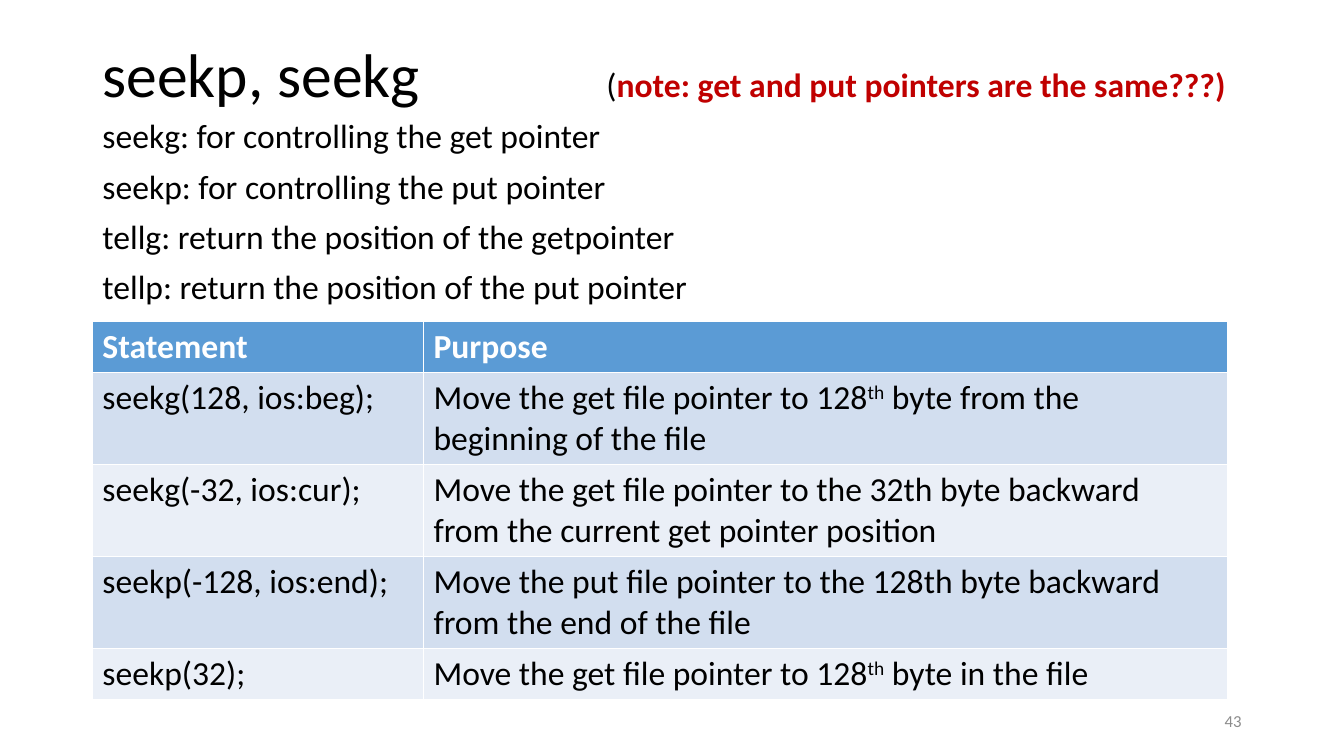
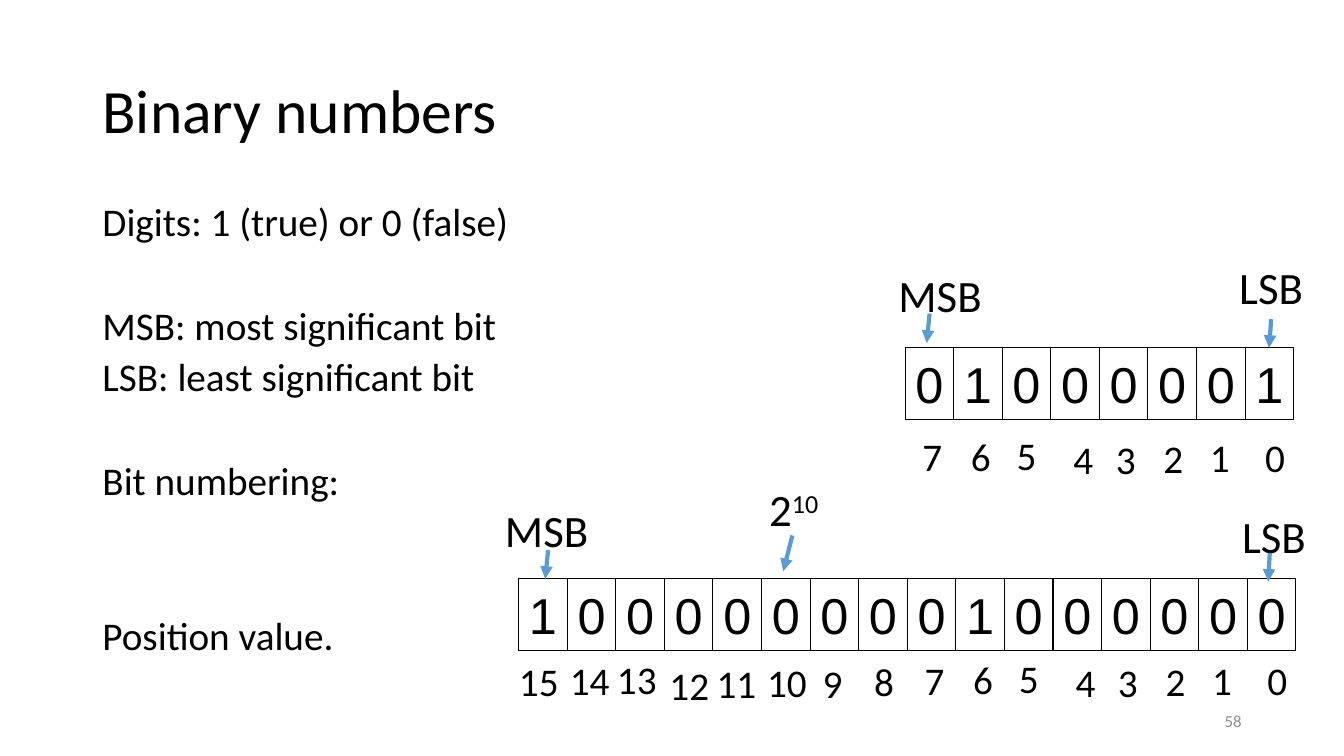
from dataclasses import dataclass
from lxml import etree
from pptx import Presentation
from pptx.dml.color import RGBColor as RGB
from pptx.enum.shapes import MSO_CONNECTOR as CONN, MSO_SHAPE as SHAPE
from pptx.enum.text import MSO_ANCHOR as ANCHOR, MSO_AUTO_SIZE as FIT, PP_ALIGN as ALIGN
from pptx.oxml.ns import qn
from pptx.util import Pt


@dataclass(frozen=True)
class Theme:
    font: str = "Calibri"
    bit_font: str = "Arial"
    ink: str = "000000"
    white: str = "FFFFFF"
    red: str = "C00000"
    grey: str = "8C8C8C"
    blue: str = "5B9BD5"
    bands: tuple = ("D2DEEF", "EAEFF7")
    title: int = 44
    bit: int = 36
    callout: int = 32
    body: int = 28
    table: int = 24
    footer: int = 12


T = Theme()
LEFT, WIDTH = 66, 828

# Content: text between carets is superscript
SEEK_TITLE = "seekp, seekg"
SEEK_NOTE = "note: get and put pointers are the same???)"
SEEK_LINES = [
    "seekg: for controlling the get pointer",
    "seekp: for controlling the put pointer",
    "tellg: return the position of the getpointer",
    "tellp: return the position of the put pointer",
]
# Statement, purpose, lines of text in the row
SEEK_TABLE = [
    ("Statement", "Purpose", 1),
    ("seekg(128, ios:beg);", "Move the get file pointer to 128^th^ byte from the beginning of the file", 2),
    ("seekg(-32, ios:cur);", "Move the get file pointer to the 32th byte backward from the current get pointer position", 2),
    ("seekp(-128, ios:end);", "Move the put file pointer to the 128th byte backward from the end of the file", 2),
    ("seekp(32);", "Move the get file pointer to 128^th^ byte in the file", 1),
]
COLUMNS = (236.5, 574.5)

# Lines with the space before each
BINARY_LINES = [
    ("Digits: 1 (true) or 0 (false)", 0),
    ("MSB: most significant bit", 47),
    ("LSB: least significant bit", 10),
    ("Bit numbering:", 47),
    ("Position value.", 84),
]
# Bits, left, top, top of the bit numbers
BIT_ROWS = [
    ("01000001", 646.5, 248.5, 306),
    ("1000000001000000", 370.5, 413.5, 465.5),
]
# Shift of each bit number from the centre of its cell, from bit 0 up
NUDGES = [
    (4, 0), (-0.7, 0), (0.7, 0.7), (1.4, 1.4), (5.8, 1.4), (0, -1.4), (2, -0.7), (2, -0.5),
    (0.7, 0.7), (-1.4, 2), (0.7, 1.4), (-0.7, 2), (0.4, 3), (-2.4, -0.7), (-1.4, 0), (-3, 0.7),
]
# Text, centre, top, arrow start, arrow end
CALLOUTS = [
    ("LSB", 908, 182, (908, 228), (906.5, 248.5)),
    ("MSB", 671.5, 188, (664, 224), (662, 245)),
    ("LSB", 910, 360, (907, 395), (906, 415.5)),
    ("MSB", 390.5, 355.5, (391.5, 393), (389.5, 413.5)),
    ("2^10^", 567, 340.5, (566, 382.5), (559.5, 408)),
]
CALLOUT_W, CALLOUT_H = 88, 46
CELL_W, CELL_H = 34.7, 51


def add_run(p, text, size, color=T.ink, bold=False, font=T.font):
    r = p.add_run()
    r.text = text
    r.font.name, r.font.size, r.font.bold = font, Pt(size), bold
    r.font.color.rgb = RGB.from_string(color)
    return r


def write(p, text, size, **style):
    for i, part in enumerate(text.split("^")):
        if part:
            r = add_run(p, part, size, **style)
            if i % 2:
                r._r.get_or_add_rPr().set("baseline", "30000")


def place(sp, x, y, w, h):
    sp.left, sp.top, sp.width, sp.height = Pt(x), Pt(y), Pt(w), Pt(h)


def add_label(slide, text, x, y, w, h, size, align=ALIGN.CENTER, anchor=ANCHOR.TOP, **style):
    tf = slide.shapes.add_textbox(Pt(x), Pt(y), Pt(w), Pt(h)).text_frame
    tf.word_wrap, tf.vertical_anchor = False, anchor
    p = tf.paragraphs[0]
    p.alignment = align
    write(p, text, size, **style)


def new_slide(prs, title, title_top, body_top, number):
    slide = prs.slides.add_slide(prs.slide_layouts[1])
    head, body = slide.shapes.title, slide.placeholders[1]
    place(head, LEFT, title_top, WIDTH, 104.5)
    place(body, LEFT, body_top, WIDTH, 343)
    for sp, anchor in ((head, ANCHOR.MIDDLE), (body, ANCHOR.TOP)):
        tf = sp.text_frame
        tf.auto_size, tf.word_wrap, tf.vertical_anchor = FIT.NONE, True, anchor
    p = head.text_frame.paragraphs[0]
    p.alignment, p.line_spacing = ALIGN.LEFT, 0.9
    write(p, title, T.title)
    add_label(slide, number, 678, 500.5, 216, 28.75, T.footer, ALIGN.RIGHT,
              ANCHOR.MIDDLE, color=T.grey)
    return slide


def fill_body(slide, lines, size, spacing):
    tf = slide.placeholders[1].text_frame
    for i, (text, before) in enumerate(lines):
        p = tf.add_paragraph() if i else tf.paragraphs[0]
        pPr = p._p.get_or_add_pPr()
        pPr.set("marL", "0")
        pPr.set("indent", "0")
        etree.SubElement(pPr, qn("a:buNone"))
        p.line_spacing, p.space_before = spacing, Pt(before)
        write(p, text, size)


def add_arrow(slide, start, end):
    line = slide.shapes.add_connector(CONN.STRAIGHT, *(Pt(v) for v in start + end))
    line.line.color.rgb = RGB.from_string(T.blue)
    line.line.width = Pt(3)
    etree.SubElement(line.line._get_or_add_ln(), qn("a:tailEnd"), type="triangle")
    etree.SubElement(line._element.spPr, qn("a:effectLst"))


def seek_slide(prs):
    slide = new_slide(prs, SEEK_TITLE, 3, 82, "43")
    # Note beside the title, at a tab stop
    p = slide.shapes.title.text_frame.paragraphs[0]
    tabs = etree.SubElement(p._p.get_or_add_pPr(), qn("a:tabLst"))
    etree.SubElement(tabs, qn("a:tab"), pos=str(Pt(360)), algn="l")
    add_run(p, "\t(", T.table)
    add_run(p, SEEK_NOTE, T.table, T.red, True)
    fill_body(slide, [(text, 10 if i else 0) for i, text in enumerate(SEEK_LINES)], T.table, 0.9)

    # Table of statements
    heights = [29.3 * lines + 7.2 for *_, lines in SEEK_TABLE]
    table = slide.shapes.add_table(len(SEEK_TABLE), len(COLUMNS), Pt(LEFT), Pt(229.5),
                                   Pt(sum(COLUMNS)), Pt(sum(heights))).table
    for column, width in zip(table.columns, COLUMNS):
        column.width = Pt(width)
    for i, (*texts, _) in enumerate(SEEK_TABLE):
        table.rows[i].height = Pt(heights[i])
        fill = T.bands[(i - 1) % 2] if i else T.blue
        for j, text in enumerate(texts):
            cell = table.cell(i, j)
            cell.margin_right = Pt(16)
            cell.fill.solid()
            cell.fill.fore_color.rgb = RGB.from_string(fill)
            write(cell.text_frame.paragraphs[0], text, T.table,
                  color=T.ink if i else T.white, bold=i == 0)


def add_bit(slide, bit, x, y):
    sp = slide.shapes.add_shape(SHAPE.RECTANGLE, Pt(x), Pt(y), Pt(CELL_W), Pt(CELL_H))
    sp.shadow.inherit = False
    sp.fill.background()
    sp.line.color.rgb = RGB.from_string(T.ink)
    sp.line.width = Pt(0.75)
    tf = sp.text_frame
    tf.word_wrap, tf.vertical_anchor = False, ANCHOR.MIDDLE
    p = tf.paragraphs[0]
    p.alignment = ALIGN.CENTER
    write(p, bit, T.bit, font=T.bit_font)


def binary_slide(prs):
    slide = new_slide(prs, "Binary numbers", 28.75, 144, "58")
    fill_body(slide, BINARY_LINES, T.body, 0.8)
    # Rows of bits, numbered from the right
    for bits, left, top, number_top in BIT_ROWS:
        for i, bit in enumerate(bits):
            x = left + i * CELL_W
            add_bit(slide, bit, x, top)
            number = len(bits) - 1 - i
            dx, dy = NUDGES[number]
            w = 29 if number < 10 else 43
            add_label(slide, str(number), x + (CELL_W - w) / 2 + dx, number_top + dy, w, 41, T.body)
    # Callouts with arrows
    for text, centre, top, start, end in CALLOUTS:
        add_label(slide, text, centre - CALLOUT_W / 2, top, CALLOUT_W, CALLOUT_H, T.callout)
        add_arrow(slide, start, end)


def main():
    prs = Presentation()
    prs.slide_width, prs.slide_height = Pt(960), Pt(540)
    seek_slide(prs)
    binary_slide(prs)
    prs.save("out.pptx")


if __name__ == "__main__":
    main()
